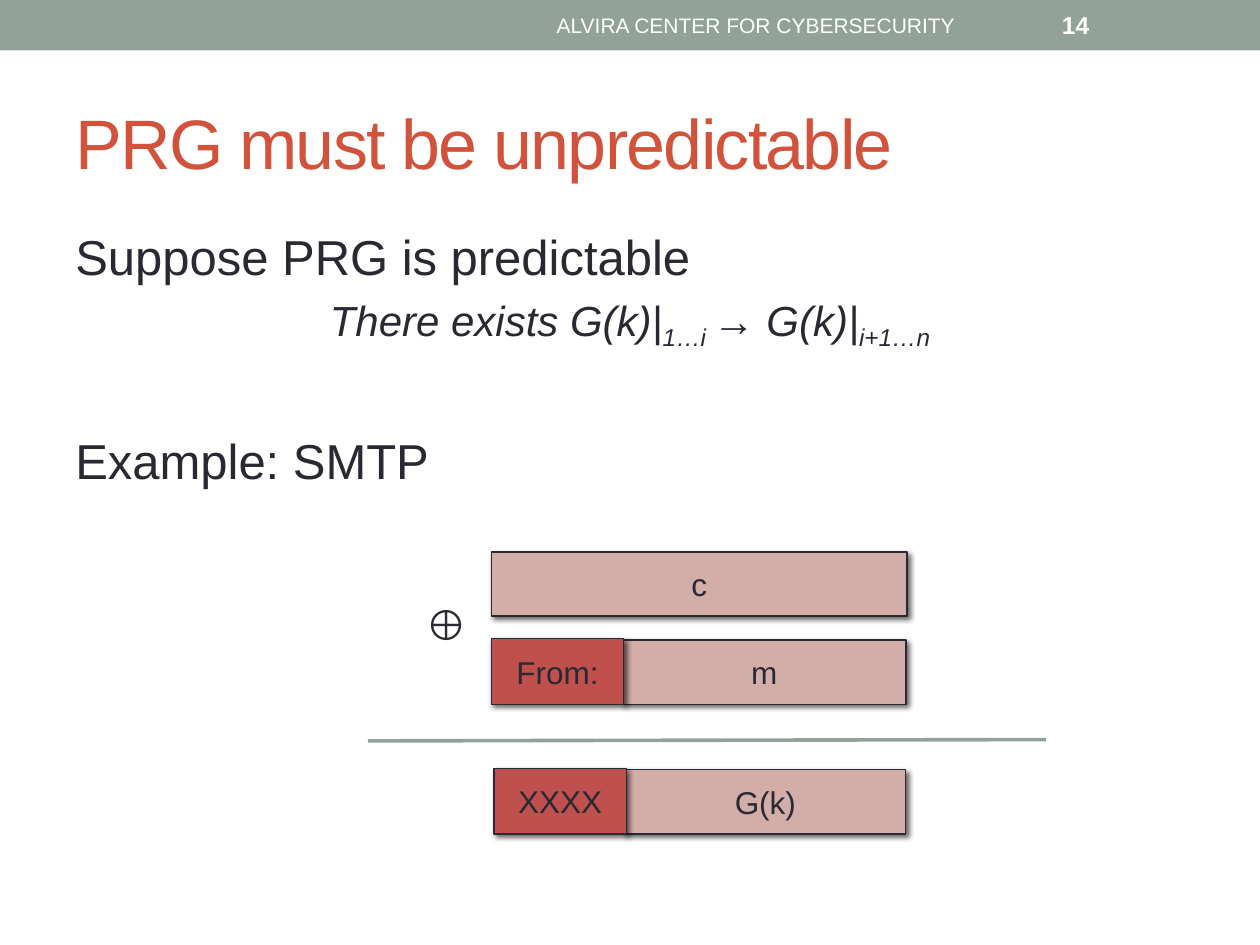
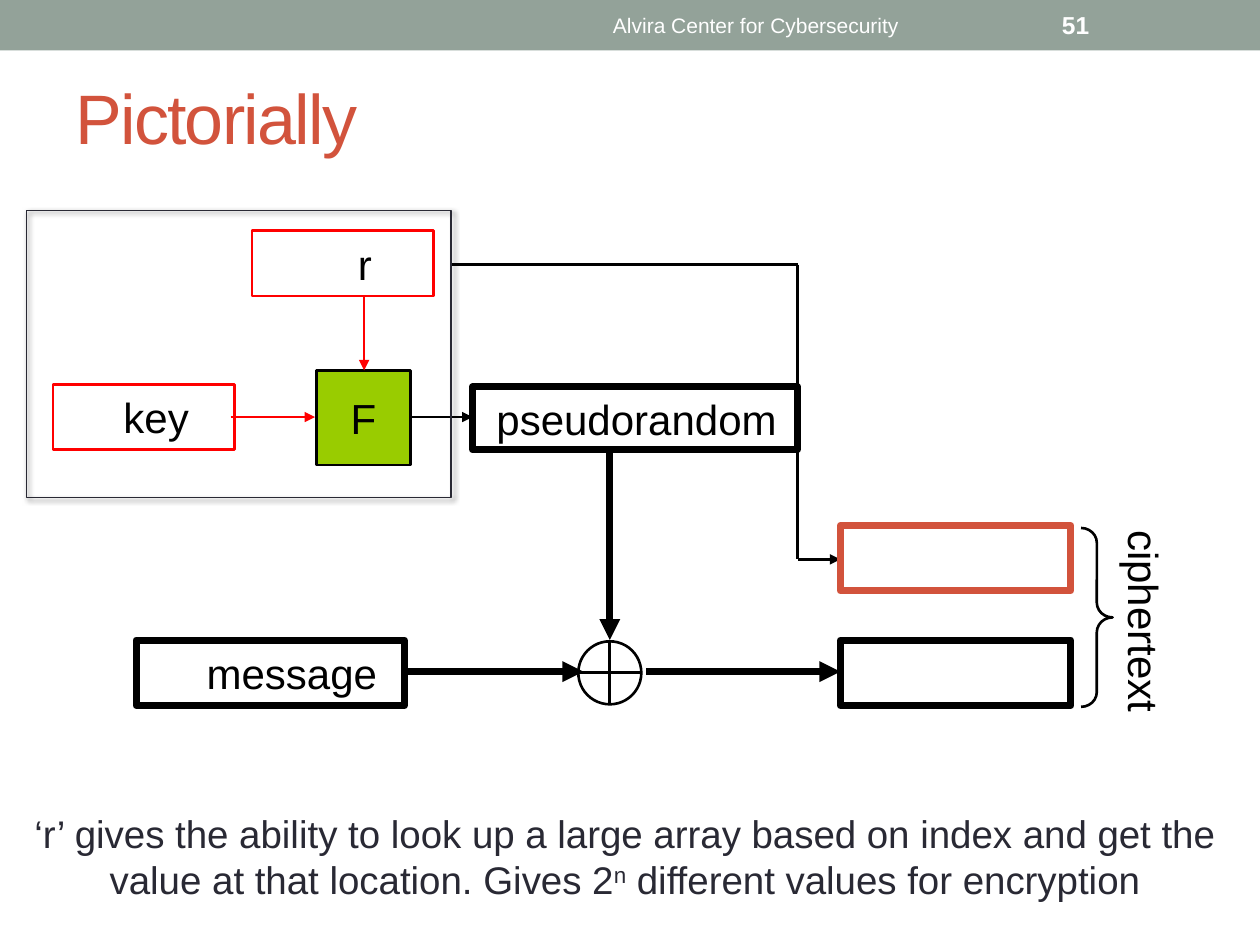
from dataclasses import dataclass
from typing import Optional

from lxml import etree
from pptx import Presentation
from pptx.dml.color import RGBColor
from pptx.enum import shapes, text
from pptx.oxml import ns
from pptx import util as u

RECT = shapes.MSO_SHAPE.RECTANGLE
LEFT, CENTER = text.PP_ALIGN.LEFT, text.PP_ALIGN.CENTER
TOP, MIDDLE = text.MSO_ANCHOR.TOP, text.MSO_ANCHOR.MIDDLE


@dataclass(frozen=True)
class Theme:
    font: str = "Arial"
    band: str = "93A299"
    accent: str = "D2533C"
    ink: str = "292934"
    white: str = "FFFFFF"
    black: str = "000000"
    red: str = "FF0000"
    green: str = "99CC00"
    known: str = "C0504D"
    unknown: str = "D3AEA8"
    title_size: float = 40
    lead_size: float = 28
    label_size: float = 24
    note_size: float = 22
    bar_size: float = 18
    number_size: float = 14
    footer_size: float = 12
    hairline: float = 0.75
    thin: float = 1.5
    rule: float = 2.08
    thick: float = 4


THEME = Theme()


@dataclass(frozen=True)
class Box:
    left: float
    top: float
    width: float
    height: float
    label: str = ""
    fill: Optional[str] = THEME.white
    line: Optional[str] = THEME.black
    weight: float = THEME.thin
    size: float = THEME.label_size
    color: str = THEME.black
    align: text.PP_ALIGN = CENTER
    indent: float = 0
    shadow: bool = False
    preset: shapes.MSO_SHAPE = RECT


@dataclass(frozen=True)
class Link:
    x1: float
    y1: float
    x2: float
    y2: float
    color: str = THEME.black
    weight: float = THEME.thin
    arrow: bool = True


def write(frame, content, *, size: float, color: str = THEME.ink, align=LEFT,
          bold: bool = False, italic: bool = False, tracking: float = 0,
          before: float = 0) -> None:
    paragraph = frame.paragraphs[0]
    if paragraph.runs:
        paragraph = frame.add_paragraph()
    paragraph.alignment = align
    paragraph.space_before = u.Pt(before)
    runs = [(content, 0)] if isinstance(content, str) else content
    for words, baseline in runs:
        run = paragraph.add_run()
        run.text = words
        font = run.font
        font.name, font.size = THEME.font, u.Pt(size)
        font.bold, font.italic = bold, italic
        font.color.rgb = RGBColor.from_string(color)
        properties = run._r.get_or_add_rPr()
        if baseline:
            properties.set("baseline", str(baseline * 1000))
        if tracking:
            properties.set("spc", str(round(tracking * 100)))


def text_area(slide, left: float, top: float, width: float, height: float,
              anchor=MIDDLE, rotation: float = 0, margin: float = 0.1):
    area = slide.shapes.add_textbox(*map(u.Inches, (left, top, width, height)))
    area.rotation = rotation
    frame = area.text_frame
    frame.word_wrap = True
    frame.vertical_anchor = anchor
    frame.margin_left = frame.margin_right = u.Inches(margin)
    return frame


def draw_box(slide, box: Box):
    shape = slide.shapes.add_shape(
        box.preset, *map(u.Inches, (box.left, box.top, box.width, box.height)))
    if box.fill:
        shape.fill.solid()
        shape.fill.fore_color.rgb = RGBColor.from_string(box.fill)
    else:
        shape.fill.background()
    if box.line:
        shape.line.color.rgb = RGBColor.from_string(box.line)
        shape.line.width = u.Pt(box.weight)
    else:
        shape.line.fill.background()
    shape.shadow.inherit = False
    if box.shadow:
        effects = shape._element.spPr.find(ns.qn("a:effectLst"))
        outer = etree.SubElement(effects, ns.qn("a:outerShdw"), blurRad=str(u.Pt(3)),
                                 dist=str(u.Pt(2)), dir="2700000", rotWithShape="0")
        tint = etree.SubElement(outer, ns.qn("a:srgbClr"), val=THEME.black)
        etree.SubElement(tint, ns.qn("a:alpha"), val="60000")
    if box.label:
        frame = shape.text_frame
        frame.word_wrap = True
        frame.vertical_anchor = MIDDLE
        frame.margin_left = u.Inches(0.1 + box.indent)
        write(frame, box.label, size=box.size, color=box.color, align=box.align)
    return shape


def draw_link(slide, link: Link) -> None:
    connector = slide.shapes.add_connector(
        shapes.MSO_CONNECTOR.STRAIGHT,
        *map(u.Inches, (link.x1, link.y1, link.x2, link.y2)))
    connector.line.color.rgb = RGBColor.from_string(link.color)
    connector.line.width = u.Pt(link.weight)
    properties = connector._element.spPr
    if link.arrow:
        etree.SubElement(properties.find(ns.qn("a:ln")), ns.qn("a:tailEnd"), type="triangle")
    etree.SubElement(properties, ns.qn("a:effectLst"))


def start_slide(deck, title: str, title_top: float, title_height: float,
                footer: str, number: int):
    slide = deck.slides.add_slide(deck.slide_layouts[6])
    draw_box(slide, Box(0, 0, 10, 0.4, fill=THEME.band, line=None))
    write(text_area(slide, 0.5, title_top, 9, title_height), title,
          size=THEME.title_size, color=THEME.accent, tracking=-1)
    write(text_area(slide, 3.75, 0.02, 4.5, 0.36), footer,
          size=THEME.footer_size, color=THEME.white, align=CENTER)
    write(text_area(slide, 8.33, 0.02, 1.17, 0.36), str(number),
          size=THEME.number_size, color=THEME.white, bold=True)
    return slide


def message_bar(left: float, top: float, width: float, label: str,
                fill: str = THEME.unknown, height: float = 0.51) -> Box:
    return Box(left, top, width, height, label, fill, THEME.ink, THEME.hairline,
               THEME.bar_size, THEME.ink, shadow=True)


def build_unpredictable(deck, footer: str) -> None:
    slide = start_slide(deck, "PRG must be unpredictable", 0.58, 1.08, footer.upper(), 14)
    body = text_area(slide, 0.5, 1.75, 9, 5.33, TOP)
    write(body, "Suppose PRG is predictable", size=THEME.lead_size, before=3)
    write(body, [("There exists G(k)|", 0), ("1…i ", -25), ("→ G(k)|", 0), ("i+1…n", -25)],
          size=THEME.label_size, align=CENTER, italic=True, before=5)
    write(body, "Example: SMTP", size=THEME.lead_size, before=45)

    for bar in (
        message_bar(4.94, 5.08, 2.25, "m"),
        message_bar(4.96, 6.11, 2.23, "G(k)"),
        message_bar(3.9, 4.38, 3.3, "c"),
        message_bar(3.9, 5.07, 1.05, "From:", THEME.known, 0.52),
        message_bar(3.92, 6.1, 1.05, "XXXX", THEME.known, 0.52),
    ):
        draw_box(slide, bar)
    write(text_area(slide, 3.29, 4.7, 0.5, 0.5, TOP, margin=0), "⊕",
          size=THEME.label_size, align=CENTER)
    draw_link(slide, Link(2.92, 5.88, 8.3, 5.87, THEME.band, THEME.rule, arrow=False))


def build_pictorially(deck, footer: str) -> None:
    slide = start_slide(deck, "Pictorially", 0.3, 1.25, footer, 51)
    row_height, output_left, output_width = 0.52, 6.67, 1.83
    key_row, message_row, index_row = 3.31, 5.33, 4.44
    xor_x, xor_y, xor_radius = 4.84, 5.34, 0.25
    index_x, index_y = 6.33, 2.1

    draw_box(slide, Box(xor_x - xor_radius, xor_y - xor_radius, 2 * xor_radius,
                        2 * xor_radius, preset=shapes.MSO_SHAPE.OVAL))
    for link in (
        Link(xor_x - xor_radius, xor_y, xor_x + xor_radius, xor_y, arrow=False),
        Link(xor_x, xor_y - xor_radius, xor_x, xor_y + xor_radius, arrow=False),
        Link(3.58, index_y, index_x, index_y, arrow=False),
        Link(index_x, index_y, index_x, index_row, arrow=False),
        Link(index_x, index_row, output_left, index_row),
    ):
        draw_link(slide, link)

    for box in (
        Box(0.42, 3.05, 1.44, row_height, "key", line=THEME.red, align=LEFT, indent=0.46),
        Box(2, 1.83, 1.44, row_height, "r", line=THEME.red, align=LEFT, indent=0.74),
        Box(2.51, 2.94, 0.75, 0.75, "F", fill=THEME.green),
        Box(3.75, 3.07, 2.58, 0.5, "pseudorandom", weight=THEME.thick, align=LEFT, indent=0.09),
        Box(1.08, 5.08, 2.13, row_height, "message", weight=THEME.thick, align=LEFT, indent=0.46),
        Box(output_left, 5.08, output_width, row_height, weight=THEME.thick),
        Box(output_left, 4.17, output_width, row_height, line=THEME.accent, weight=THEME.thick),
    ):
        draw_box(slide, box)

    for link in (
        Link(1.83, key_row, 2.5, key_row, THEME.red),
        Link(2.89, 2.35, 2.89, 2.94, THEME.red),
        Link(3.25, key_row, 3.75, key_row),
        Link(xor_x, 3.58, xor_x, 5.08, weight=THEME.thick),
        Link(3.22, message_row, 4.63, message_row, weight=THEME.thick),
        Link(5.13, message_row, output_left, message_row, weight=THEME.thick),
    ):
        draw_link(slide, link)

    brace = draw_box(slide, Box(8.58, 4.19, 0.25, 1.42, fill=None,
                                preset=shapes.MSO_SHAPE.RIGHT_BRACE))
    brace.adjustments[0] = 0.47
    write(text_area(slide, 8.26, 4.68, 1.65, 0.5, TOP, rotation=90, margin=0),
          "ciphertext", size=THEME.label_size, color=THEME.black, align=CENTER)
    draw_box(slide, Box(0.21, 1.67, 3.37, 2.28, fill=None, line=THEME.ink,
                        weight=THEME.hairline, shadow=True))
    write(text_area(slide, 0.17, 6.38, 9.58, 0.84, TOP),
          [("‘r’ gives the ability to look up a large array based on index and get "
            "the value at that location. Gives 2", 0),
           ("n", 30), (" different values for encryption", 0)],
          size=THEME.note_size, align=CENTER)


def main() -> None:
    deck = Presentation()
    deck.slide_width, deck.slide_height = u.Inches(10), u.Inches(7.5)
    footer = "Alvira Center for Cybersecurity"
    build_unpredictable(deck, footer)
    build_pictorially(deck, footer)
    deck.save("out.pptx")


if __name__ == "__main__":
    main()
